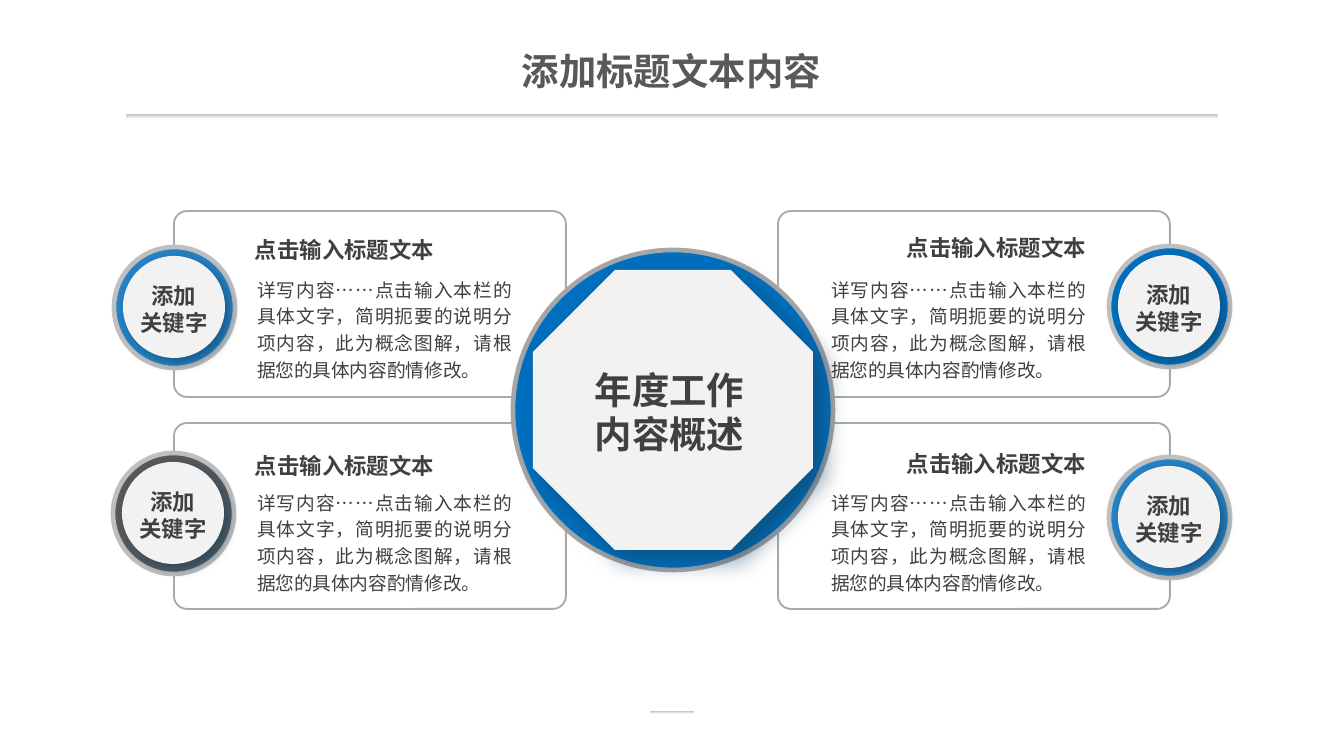
from lxml import etree
from pptx import Presentation
from pptx.dml.color import RGBColor
from pptx.enum.shapes import MSO_SHAPE
from pptx.enum.text import MSO_ANCHOR, PP_ALIGN
from pptx.oxml.ns import qn
from pptx.util import Pt

ROUNDED, OVAL, OCTAGON = MSO_SHAPE.ROUNDED_RECTANGLE, MSO_SHAPE.OVAL, MSO_SHAPE.OCTAGON
LEFT, CENTER, RIGHT, JUSTIFY = PP_ALIGN.LEFT, PP_ALIGN.CENTER, PP_ALIGN.RIGHT, PP_ALIGN.JUSTIFY
TOP, MIDDLE = MSO_ANCHOR.TOP, MSO_ANCHOR.MIDDLE

BLUE = RGBColor(0x00, 0x70, 0xC0)
LIGHT_BLUE = RGBColor(0x26, 0x83, 0xC6)
DARK_GRAY = RGBColor(0x59, 0x59, 0x59)
TEXT_GRAY = RGBColor(0x40, 0x40, 0x40)
PANEL_GRAY = RGBColor(0xA6, 0xAA, 0xA9)
RING_GRAY = RGBColor(0xA6, 0xA6, 0xA6)
SILVER = RGBColor(0xBF, 0xBF, 0xBF)
PALE = RGBColor(0xF2, 0xF2, 0xF2)
WHITE = RGBColor(0xFF, 0xFF, 0xFF)

FONT = "Noto Sans CJK SC"
HEADING = "点击输入标题文本"
BODY = "详写内容……点击输入本栏的具体文字，简明扼要的说明分项内容，此为概念图解，请根据您的具体内容酌情修改。"
SCALE = 914400 / 134.4

presentation = Presentation()
presentation.slide_width = round(1344 * SCALE)
presentation.slide_height = round(756 * SCALE)
slide = presentation.slides.add_slide(presentation.slide_layouts[5])


def add_shape(kind, box, fill=None, line=None, line_width=1, shadow=None):
    shape = slide.shapes.add_shape(kind, *[round(value * SCALE) for value in box])
    shape.shadow.inherit = False
    if fill is None:
        shape.fill.background()
    else:
        shape.fill.solid()
        shape.fill.fore_color.rgb = fill
    if line is None:
        shape.line.fill.background()
    else:
        shape.line.color.rgb = line
        shape.line.width = Pt(line_width)
    if shadow:
        blur, distance = shadow
        effects = shape._element.spPr.find(qn("a:effectLst"))
        outer = etree.SubElement(effects, qn("a:outerShdw"), blurRad=str(Pt(blur)),
                                 dist=str(Pt(distance)), dir="2700000", algn="tl", rotWithShape="0")
        color = etree.SubElement(outer, qn("a:srgbClr"), val="134163")
        etree.SubElement(color, qn("a:alpha"), val="64000")
    return shape


def write_text(shape, box, text, size, align, bold=True, spacing=None,
               anchor=TOP, color=TEXT_GRAY, font_name=FONT):
    shape.left, shape.top, shape.width, shape.height = [round(value * SCALE) for value in box]
    frame = shape.text_frame
    frame.word_wrap = True
    frame.vertical_anchor = anchor
    frame.margin_left = frame.margin_top = frame.margin_right = frame.margin_bottom = 0
    frame.text = text
    for paragraph in frame.paragraphs:
        paragraph.alignment = align
        paragraph.space_before = Pt(0)
        if spacing:
            paragraph.line_spacing = Pt(spacing)
        for run in paragraph.runs:
            run.font.name = font_name
            run.font.size = Pt(size)
            run.font.bold = bold
            run.font.color.rgb = color
            etree.SubElement(run._r.get_or_add_rPr(), qn("a:ea"), typeface=FONT)


for rule_box in [(126, 114, 1092, 5), (650, 711, 44, 3)]:
    rule = add_shape(ROUNDED, rule_box)
    rule.adjustments[0] = 0.5
    rule.fill.gradient()
    rule.fill.gradient_angle = 270
    for stop, color, position in zip(rule.fill.gradient_stops, (SILVER, WHITE), (0, 1)):
        stop.color.rgb = color
        stop.position = position

write_text(slide.shapes.title, (413, 43, 517, 55), "添加标题文本内容", 20, CENTER,
           anchor=MIDDLE, color=DARK_GRAY, font_name="Arial")

for panel_left in (174, 778):
    for panel_top in (211, 423):
        panel = add_shape(ROUNDED, (panel_left, panel_top, 392, 186), line=PANEL_GRAY)
        panel.adjustments[0] = 0.07

columns = [(257, 255, 228, LEFT), (831, 880, 226, RIGHT)]
for body_left, heading_left, heading_top, heading_align in columns:
    for row in range(2):
        body = slide.shapes.add_textbox(0, 0, 0, 0)
        write_text(body, (body_left, 274 + 213 * row, 255, 108), BODY, 10, JUSTIFY,
                   bold=False, spacing=14.4)
        heading = slide.shapes.add_textbox(0, 0, 0, 0)
        write_text(heading, (heading_left, heading_top + 216 * row, 206, 44), HEADING, 12,
                   heading_align, anchor=MIDDLE)

add_shape(OVAL, (513, 250, 320, 320), BLUE, RING_GRAY, 2.5)
add_shape(OCTAGON, (533, 270, 280, 280), PALE, shadow=(13, 7))
center_label = slide.shapes.add_textbox(0, 0, 0, 0)
write_text(center_label, (550, 368, 239, 88), "年度工作\n内容概述", 20, CENTER, spacing=23.5)

badges = [
    (114, 247, LIGHT_BLUE),
    (113, 453, DARK_GRAY),
    (1109, 246, BLUE),
    (1109, 457, LIGHT_BLUE),
]
for left, top, color in badges:
    add_shape(OVAL, (left, top, 121, 121), color, SILVER, 2.5)
    add_shape(OVAL, (left + 9, top + 9, 102, 102), PALE, shadow=(6, 3))
    label = slide.shapes.add_textbox(0, 0, 0, 0)
    write_text(label, (left + 9, top + 36, 102, 53), "添加\n关键字", 12, CENTER, spacing=14.2)

presentation.save("out.pptx")
